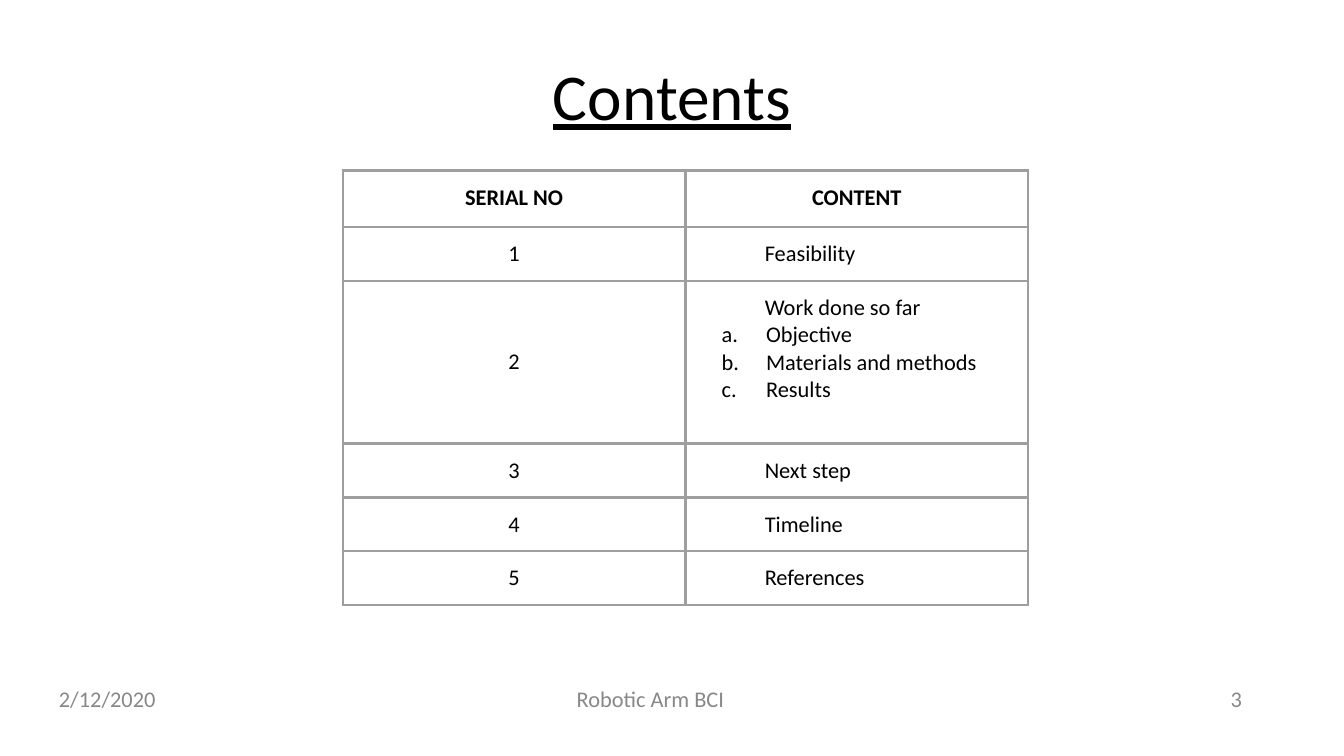
from lxml import etree
from pptx import Presentation
from pptx.dml.color import RGBColor
from pptx.enum.text import MSO_ANCHOR, PP_ALIGN
from pptx.oxml.ns import qn
from pptx.util import Inches, Pt

LEFT, MID, RIGHT, JUST = PP_ALIGN.LEFT, PP_ALIGN.CENTER, PP_ALIGN.RIGHT, PP_ALIGN.JUSTIFY
TOP, MIDDLE = MSO_ANCHOR.TOP, MSO_ANCHOR.MIDDLE
COLORS = {"ink": "000000", "rule": "9E9E9E", "foot": "888888", "paper": "FFFFFF"}
FONT = "Calibri"
ROWS = [
    ("1", ["Feasibility"]),
    ("2", ["Work done so far", "Objective", "Materials and methods", "Results"]),
    ("3", ["Next step"]),
    ("4", ["Timeline"]),
    ("5", ["References"]),
]
HEAD, ROW, TALL = 0.42, 0.38, 1.21


def write(para, text, size=12, color="ink", align=LEFT, bold=False, line=False):
    para.alignment = align
    run = para.add_run()
    run.text = text
    font = run.font
    font.name, font.size, font.bold, font.underline = FONT, Pt(size), bold, line
    font.color.rgb = RGBColor.from_string(COLORS[color])


def add_text(slide, box, text, pad=0.05, anchor=MIDDLE, **style):
    frame = slide.shapes.add_textbox(*map(Inches, box)).text_frame
    frame.word_wrap = True
    frame.vertical_anchor = anchor
    frame.margin_left = frame.margin_right = Inches(0.1)
    frame.margin_top = frame.margin_bottom = Inches(pad)
    write(frame.paragraphs[0], text, **style)


def indent(para, left, hang=0, letters=False):
    """Set the left indent and, if asked, a lettered list mark."""
    props = para._p.get_or_add_pPr()
    props.set("marL", str(Inches(left)))
    props.set("indent", str(-Inches(hang)))
    if letters:
        color = etree.SubElement(props, qn("a:buClr"))
        etree.SubElement(color, qn("a:srgbClr"), val=COLORS["ink"])
        etree.SubElement(props, qn("a:buFont"), typeface=FONT)
        etree.SubElement(props, qn("a:buAutoNum"), type="alphaLcPeriod")


def style_cell(cell):
    """Give the cell its margins, four borders and fill."""
    cell.margin_left = cell.margin_right = Inches(0.1)
    cell.margin_top = cell.margin_bottom = Inches(0.1)
    props = cell._tc.get_or_add_tcPr()
    for side in ("lnL", "lnR", "lnT", "lnB"):
        edge = etree.SubElement(props, qn(f"a:{side}"), w=str(Pt(1.5)))
        fill = etree.SubElement(edge, qn("a:solidFill"))
        etree.SubElement(fill, qn("a:srgbClr"), val=COLORS["rule"])
    cell.fill.solid()
    cell.fill.fore_color.rgb = RGBColor.from_string(COLORS["paper"])


def add_contents(slide, box):
    table = slide.shapes.add_table(len(ROWS) + 1, 2, *map(Inches, box)).table
    for col in table.columns:
        col.width = Inches(box[2] / 2)
    for cell in table.iter_cells():
        style_cell(cell)
    table.rows[0].height = Inches(HEAD)
    for col, label in enumerate(("SERIAL NO", "CONTENT")):
        write(table.cell(0, col).text_frame.paragraphs[0], label, align=MID, bold=True)
    for row, (number, lines) in enumerate(ROWS, 1):
        table.rows[row].height = Inches(TALL if len(lines) > 1 else ROW)
        serial, topic = table.cell(row, 0), table.cell(row, 1)
        serial.vertical_anchor = MIDDLE
        write(serial.text_frame.paragraphs[0], number, align=MID)
        frame = topic.text_frame
        for pos, line in enumerate(lines):
            para = frame.add_paragraph() if pos else frame.paragraphs[0]
            write(para, line, align=JUST)
            if pos:
                indent(para, 0.5, 0.33, letters=True)
            else:
                indent(para, 0.49)


def add_footer(slide, box):
    left, top, width, height = box
    side, centre = 2.33, 3.17
    parts = [
        ("3", width - side, side, RIGHT),
        ("Robotic Arm BCI", (width - centre) / 2, centre, MID),
        ("2/12/2020", 0, side, LEFT),
    ]
    for text, shift, span, align in parts:
        add_text(slide, (left + shift, top, span, height), text, color="foot", align=align)


def main():
    deck = Presentation()
    deck.slide_width = Inches(10)
    deck.slide_height = deck.slide_width * 9 // 16
    slide = deck.slides.add_slide(deck.slide_layouts[6])
    add_text(slide, (0.34, 0.31, 9.32, 0.63), "Contents", pad=0.1, anchor=TOP,
             size=35, align=MID, line=True)
    add_contents(slide, (2.55, 1.27, 5.1, HEAD + 4 * ROW + TALL))
    add_footer(slide, (0.34, 5, 9, 0.4))
    deck.save("out.pptx")


if __name__ == "__main__":
    main()
